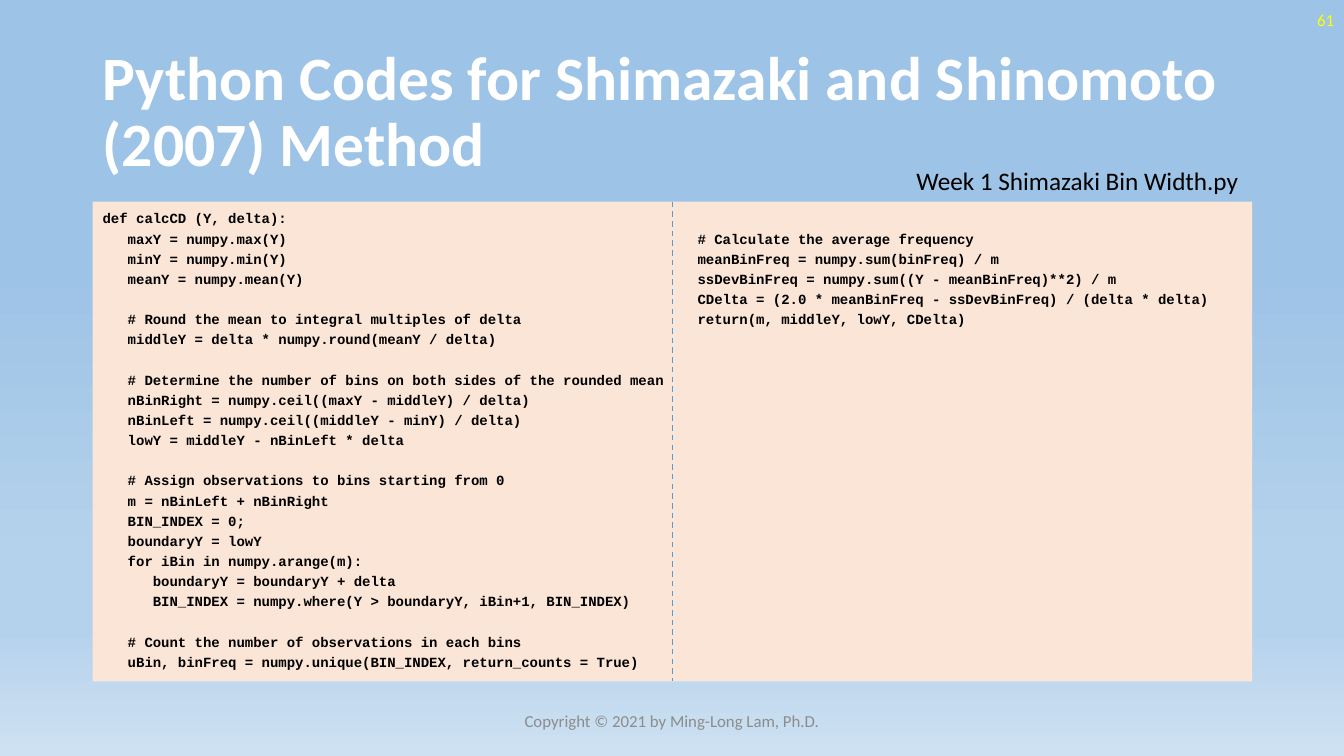
from lxml import etree
from pptx import Presentation
from pptx.dml.color import RGBColor
from pptx.enum.dml import MSO_LINE
from pptx.enum.shapes import MSO_CONNECTOR, MSO_SHAPE
from pptx.enum.text import MSO_ANCHOR, PP_ALIGN
from pptx.oxml.ns import qn
from pptx.util import Inches, Pt

TITLE = "Python Codes for Shimazaki and Shinomoto (2007) Method"
FILE_NAME = "Week 1 Shimazaki Bin Width.py"
PAGE_NUMBER = "61"
COPYRIGHT = "Copyright © 2021 by Ming-Long Lam, Ph.D."
CODE = [
    "def calcCD (Y, delta):",
    "   maxY = numpy.max(Y)",
    "   minY = numpy.min(Y)",
    "   meanY = numpy.mean(Y)",
    "",
    "   # Round the mean to integral multiples of delta",
    "   middleY = delta * numpy.round(meanY / delta)",
    "",
    "   # Determine the number of bins on both sides of the rounded mean",
    "   nBinRight = numpy.ceil((maxY - middleY) / delta)",
    "   nBinLeft = numpy.ceil((middleY - minY) / delta)",
    "   lowY = middleY - nBinLeft * delta",
    "",
    "   # Assign observations to bins starting from 0",
    "   m = nBinLeft + nBinRight",
    "   BIN_INDEX = 0;",
    "   boundaryY = lowY",
    "   for iBin in numpy.arange(m):",
    "      boundaryY = boundaryY + delta",
    "      BIN_INDEX = numpy.where(Y > boundaryY, iBin+1, BIN_INDEX)",
    "",
    "   # Count the number of observations in each bins",
    "   uBin, binFreq = numpy.unique(BIN_INDEX, return_counts = True)",
    "",
    "   # Calculate the average frequency",
    "   meanBinFreq = numpy.sum(binFreq) / m",
    "   ssDevBinFreq = numpy.sum((Y - meanBinFreq)**2) / m",
    "   CDelta = (2.0 * meanBinFreq - ssDevBinFreq) / (delta * delta)",
    "   return(m, middleY, lowY, CDelta)",
]

WHITE = RGBColor(0xFF, 0xFF, 0xFF)
BLACK = RGBColor(0, 0, 0)
YELLOW = RGBColor(0xFF, 0xFF, 0)
GREY = RGBColor(0x8C, 0x8C, 0x8C)
PEACH = RGBColor(0xFB, 0xE5, 0xD6)
BLUE = RGBColor(0x5B, 0x9B, 0xD5)
SKY = (
    (35, RGBColor(0x9D, 0xC3, 0xE6)),
    (74, RGBColor(0xB5, 0xD2, 0xEC)),
    (83, RGBColor(0xB5, 0xD2, 0xEC)),
    (100, RGBColor(0xCE, 0xE1, 0xF2)),
)
LEFT, CENTER, RIGHT = PP_ALIGN.LEFT, PP_ALIGN.CENTER, PP_ALIGN.RIGHT
TOP, MIDDLE = MSO_ANCHOR.TOP, MSO_ANCHOR.MIDDLE
RECTANGLE, STRAIGHT, DASH = MSO_SHAPE.RECTANGLE, MSO_CONNECTOR.STRAIGHT, MSO_LINE.DASH
TOP_SIDE, BOTTOM_SIDE = 0, 2

WIDTH, HEIGHT = 13.33, 7.5
MARGIN = 0.92
CONTENT = 11.5
CONTENT_RIGHT = MARGIN + CONTENT
PANEL_TOP, PANEL_HEIGHT = 2, 4.76
LABEL_HEIGHT = 0.4
NUMBER_WIDTH, FOOTER_WIDTH, FILE_WIDTH = 3, 4.5, 3.43


def write(shape, lines, size, color, font="Calibri", bold=False, align=LEFT,
          anchor=MIDDLE, spacing=1.0, wrap=True):
    frame = shape.text_frame
    frame.word_wrap = wrap
    frame.vertical_anchor = anchor
    for index, line in enumerate(lines):
        para = frame.add_paragraph() if index else frame.paragraphs[0]
        para.alignment = align
        para.line_spacing = spacing
        if line:
            span = para.add_run()
            span.text = line
            span.font.size = Pt(size)
            span.font.name = font
            span.font.bold = bold
            span.font.color.rgb = color
        else:
            end = etree.SubElement(para._p, qn("a:endParaRPr"), sz=str(size * 100))
            etree.SubElement(end, qn("a:latin"), typeface=font)


def add_label(page, left, top, width, height, text, **style):
    box = page.shapes.add_textbox(*map(Inches, (left, top, width, height)))
    write(box, [text], **style)


def paint_background(page):
    page.background.fill.gradient()
    gradient = page._element.find(".//" + qn("a:gradFill"))
    for child in list(gradient):
        gradient.remove(child)
    stops = etree.SubElement(gradient, qn("a:gsLst"))
    for percent, color in SKY:
        stop = etree.SubElement(stops, qn("a:gs"), pos=str(percent * 1000))
        etree.SubElement(stop, qn("a:srgbClr"), val=str(color))
    etree.SubElement(gradient, qn("a:lin"), ang="5400000", scaled="0")


def add_code_panel(page):
    panel = page.shapes.add_shape(
        RECTANGLE, *map(Inches, (MARGIN, PANEL_TOP, CONTENT, PANEL_HEIGHT)))
    panel.shadow.inherit = False
    panel.fill.solid()
    panel.fill.fore_color.rgb = PEACH
    panel.line.fill.background()
    write(panel, CODE, size=10, color=BLACK, font="Courier New", bold=True,
          anchor=TOP, spacing=1.2)
    panel.text_frame._txBody.bodyPr.set("numCol", "2")
    return panel


def add_divider(page, panel):
    divider = page.shapes.add_connector(STRAIGHT, 0, 0, 0, 0)
    divider.begin_connect(panel, TOP_SIDE)
    divider.end_connect(panel, BOTTOM_SIDE)
    divider.line.color.rgb = BLUE
    divider.line.width = Pt(1)
    divider.line.dash_style = DASH
    etree.SubElement(divider._element.spPr, qn("a:effectLst"))


def main():
    deck = Presentation()
    deck.slide_width, deck.slide_height = Inches(WIDTH), Inches(HEIGHT)
    page = deck.slides.add_slide(deck.slide_layouts[6])
    paint_background(page)
    add_label(page, MARGIN, 0.4, CONTENT, 1.45, TITLE,
              size=44, color=WHITE, bold=True, spacing=0.9)
    panel = add_code_panel(page)
    add_label(page, WIDTH - NUMBER_WIDTH, 0, NUMBER_WIDTH, LABEL_HEIGHT,
              PAGE_NUMBER, size=12, color=YELLOW, align=RIGHT)
    add_label(page, (WIDTH - FOOTER_WIDTH) / 2, 6.95, FOOTER_WIDTH, LABEL_HEIGHT,
              COPYRIGHT, size=12, color=GREY, align=CENTER)
    add_divider(page, panel)
    add_label(page, CONTENT_RIGHT - FILE_WIDTH, 1.59, FILE_WIDTH, LABEL_HEIGHT,
              FILE_NAME, size=18, color=BLACK, anchor=TOP, wrap=False)
    deck.save("out.pptx")


if __name__ == "__main__":
    main()
